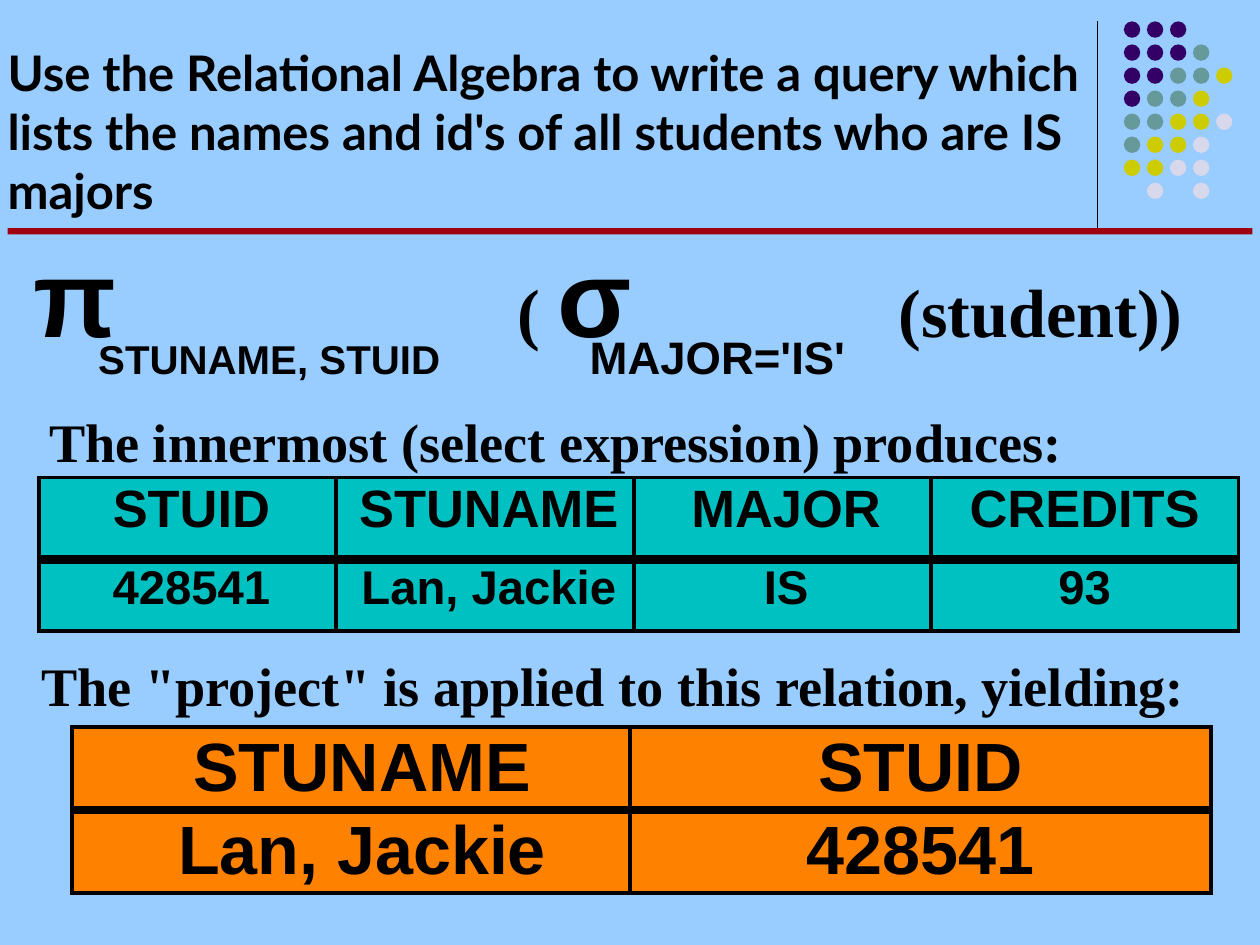
from lxml import etree
from pptx import Presentation
from pptx.dml.color import RGBColor
from pptx.enum.shapes import MSO_CONNECTOR, MSO_SHAPE
from pptx.enum.text import MSO_ANCHOR, MSO_AUTO_SIZE, PP_ALIGN
from pptx.oxml.ns import qn
from pptx.util import Inches, Pt

STRAIGHT = MSO_CONNECTOR.STRAIGHT
OVAL, RECTANGLE = MSO_SHAPE.OVAL, MSO_SHAPE.RECTANGLE
TOP, BOTTOM = MSO_ANCHOR.TOP, MSO_ANCHOR.BOTTOM
LEFT, CENTER = PP_ALIGN.LEFT, PP_ALIGN.CENTER
FIXED_SIZE = MSO_AUTO_SIZE.NONE

SANS, SERIF, TITLE_FONT = "Arial", "Times New Roman", "Lato"
BLACK, SKY, RED = "000000", "99CCFF", "9F000F"
TEAL, ORANGE = "00C1C2", "FF8100"
BORDER, ROW_DIVIDER = 2.5, 5.5

# Dot ornament: one letter per dot, a space where there is none
DOT_ROWS = ["PPP", "PPPG", "PPGGY", "PGGY", "GGYYL", "GYYL", "YYLL", " L L"]
DOT_COLORS = {"P": "330066", "G": "669999", "Y": "CCCC00", "L": "D8D8EC"}
DOT_PITCH = 1.28 / 7


def rgb(color):
    return RGBColor.from_string(color)


def set_font(font, name, size):
    font.name, font.size, font.bold = name, Pt(size), True
    font.color.rgb = rgb(BLACK)


def prepare_frame(frame, anchor=TOP):
    frame.word_wrap = True
    frame.auto_size = FIXED_SIZE
    frame.vertical_anchor = anchor
    frame.margin_left = frame.margin_right = 0
    frame.margin_top = frame.margin_bottom = 0


def add_solid(slide, preset, left, top, width, height, color):
    solid = slide.shapes.add_shape(preset, Inches(left), Inches(top),
                                   Inches(width), Inches(height))
    solid.shadow.inherit = False
    solid.fill.solid()
    solid.fill.fore_color.rgb = rgb(color)
    solid.line.fill.background()


def add_vertical_rule(slide, x, top, bottom):
    rule = slide.shapes.add_connector(STRAIGHT, Inches(x), Inches(top),
                                      Inches(x), Inches(bottom))
    rule.line.color.rgb = rgb(BLACK)
    rule.line.width = Pt(0.75)
    etree.SubElement(rule._element.spPr, qn("a:effectLst"))


def add_dots(slide):
    for row, letters in enumerate(DOT_ROWS):
        for column, letter in enumerate(letters):
            if letter in DOT_COLORS:
                add_solid(slide, OVAL, 8.92 + column * DOT_PITCH,
                          0.17 + row * DOT_PITCH, 0.13, 0.13, DOT_COLORS[letter])


def set_title(slide, text):
    title = slide.shapes.title
    title.left, title.top = Inches(0.06), Inches(0)
    title.width, title.height = Inches(8.6), Inches(1.74)
    prepare_frame(title.text_frame, BOTTOM)
    paragraph = title.text_frame.paragraphs[0]
    paragraph.text = text
    paragraph.alignment = LEFT
    set_font(paragraph.font, TITLE_FONT, 28)


def add_line_of_text(slide, left, top, width, height, runs, tabs=()):
    """One line of (text, font, size) runs, with tab stops from its left edge."""
    box = slide.shapes.add_textbox(Inches(left), Inches(top),
                                   Inches(width), Inches(height))
    prepare_frame(box.text_frame)
    paragraph = box.text_frame.paragraphs[0]
    if tabs:
        tab_list = etree.SubElement(paragraph._p.get_or_add_pPr(), qn("a:tabLst"))
        for tab in tabs:
            etree.SubElement(tab_list, qn("a:tab"), pos=str(Inches(tab)), algn="l")
    for text, name, size in runs:
        run = paragraph.add_run()
        run.text = text
        set_font(run.font, name, size)


def set_borders(cell, top, bottom):
    properties = cell._tc.get_or_add_tcPr()
    sides = {"a:lnL": BORDER, "a:lnR": BORDER, "a:lnT": top, "a:lnB": bottom}
    for index, (side, width) in enumerate(sides.items()):
        border = etree.Element(qn(side), w=str(Pt(width)))
        fill = etree.SubElement(border, qn("a:solidFill"))
        etree.SubElement(fill, qn("a:srgbClr"), val=BLACK)
        properties.insert(index, border)


def add_relation(slide, left, top, widths, heights, rows, sizes, color, indent):
    """A header row and one tuple, parted by a heavy divider."""
    frame = slide.shapes.add_table(len(rows), len(widths), Inches(left), Inches(top),
                                   Inches(sum(widths)), Inches(sum(heights)))
    table = frame.table
    table.first_row = table.horz_banding = False
    for column, width in zip(table.columns, widths):
        column.width = Inches(width)
    for r, (values, height, size) in enumerate(zip(rows, heights, sizes)):
        table.rows[r].height = Inches(height)
        for c, value in enumerate(values):
            cell = table.cell(r, c)
            cell.margin_left = Inches(indent if c < len(widths) - 1 else 0)
            cell.margin_right = cell.margin_bottom = 0
            cell.margin_top = Inches(0.02)
            cell.vertical_anchor = TOP
            cell.fill.solid()
            cell.fill.fore_color.rgb = rgb(color)
            set_borders(cell, ROW_DIVIDER if r else BORDER,
                        BORDER if r else ROW_DIVIDER)
            paragraph = cell.text_frame.paragraphs[0]
            paragraph.text = value
            paragraph.alignment = CENTER
            set_font(paragraph.font, SANS, size)


def main():
    deck = Presentation()
    deck.slide_width, deck.slide_height = Inches(10), Inches(7.5)
    slide = deck.slides.add_slide(deck.slide_layouts[5])
    slide.background.fill.solid()
    slide.background.fill.fore_color.rgb = rgb(SKY)

    # Heading with its rules and ornament
    add_vertical_rule(slide, 8.71, 0.17, 1.83)
    add_dots(slide)
    add_solid(slide, RECTANGLE, 0.06, 1.81, 9.88, 0.05, RED)
    set_title(slide, "Use the Relational Algebra to write a query which lists "
                     "the names and id's of all students who are IS majors")

    # Algebra expression and its subscripts
    add_line_of_text(slide, 0.27, 1.82, 9.6, 1,
                     [("π\t", SANS, 62), ("( ", SERIF, 39), ("σ\t", SANS, 62),
                      ("(student))", SERIF, 39)], tabs=(3.84, 6.86))
    add_line_of_text(slide, 0.78, 2.61, 7.5, 0.5,
                     [("STUNAME, STUID\t", SANS, 23), ("MAJOR='IS'", SANS, 26)],
                     tabs=(3.9,))

    # Result of the selection
    add_line_of_text(slide, 0.39, 3.24, 9.5, 0.5,
                     [("The innermost (select expression) produces:", SERIF, 31)])
    add_relation(slide, 0.31, 3.79, [2.36, 2.36, 2.36, 2.44], [0.65, 0.57],
                 [["STUID", "STUNAME", "MAJOR", "CREDITS"],
                  ["428541", "Lan, Jackie", "IS", "93"]],
                 [30, 27], TEAL, 0.06)

    # Result of the projection
    add_line_of_text(slide, 0.33, 5.18, 9.6, 0.5,
                     [('The "project" is applied to this relation, yielding:',
                       SERIF, 31)])
    add_relation(slide, 0.57, 5.77, [4.43, 4.61], [0.66, 0.66],
                 [["STUNAME", "STUID"], ["Lan, Jackie", "428541"]],
                 [39, 39], ORANGE, 0.18)

    deck.save("out.pptx")


if __name__ == "__main__":
    main()
